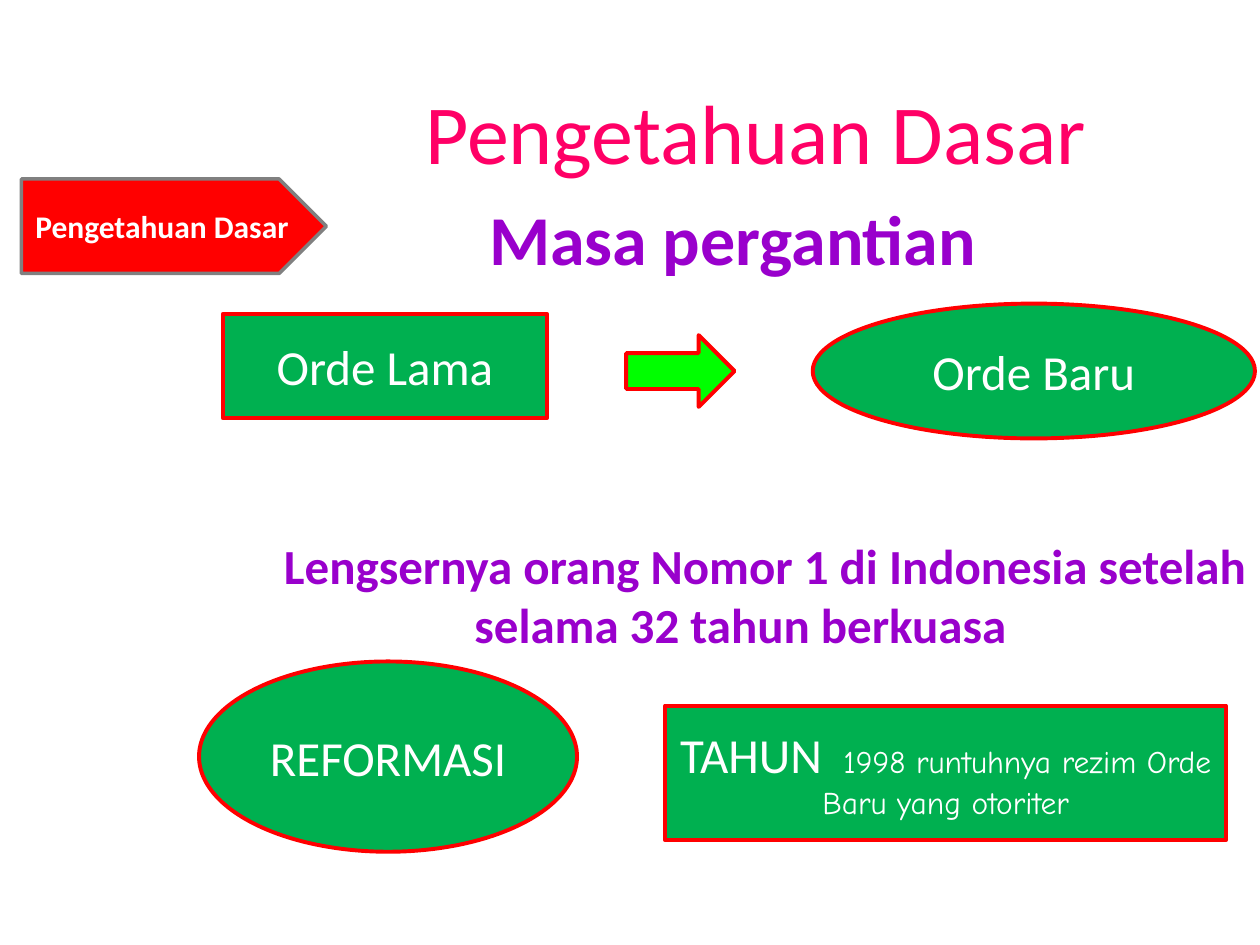
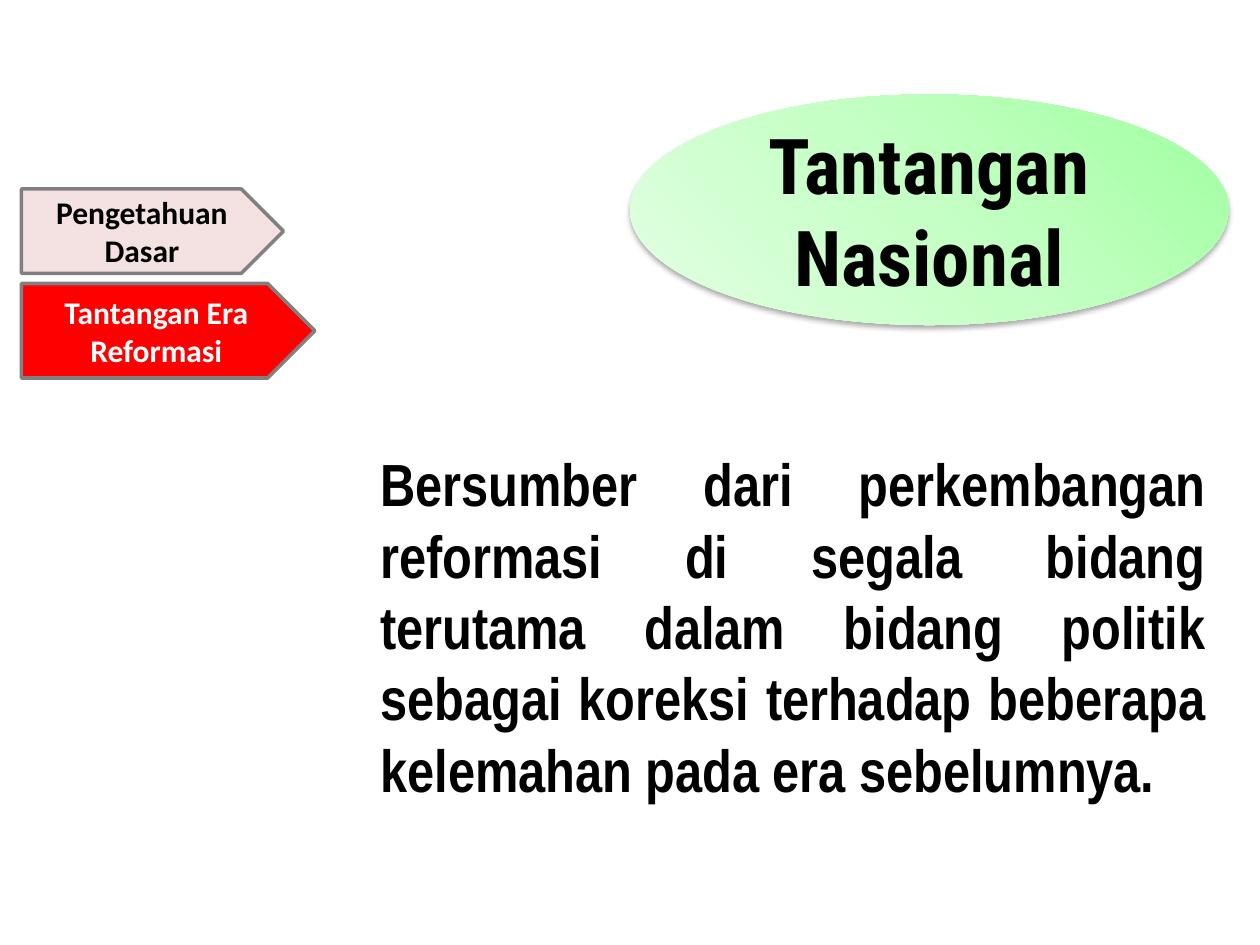
"""Builds two slides on the Reformasi era: basic knowledge and national challenges."""
from lxml import etree
from pptx import Presentation
from pptx.dml.color import RGBColor
from pptx.enum.shapes import MSO_SHAPE
from pptx.enum.text import MSO_ANCHOR, PP_ALIGN
from pptx.oxml import parse_xml
from pptx.oxml.ns import nsdecls, qn
from pptx.util import Inches, Pt

TAB, RECT, OVAL = MSO_SHAPE.PENTAGON, MSO_SHAPE.RECTANGLE, MSO_SHAPE.OVAL
ARROW = MSO_SHAPE.RIGHT_ARROW
MIDDLE, TOP = MSO_ANCHOR.MIDDLE, MSO_ANCHOR.TOP
CENTER, JUSTIFY = PP_ALIGN.CENTER, PP_ALIGN.JUSTIFY

COLORS = {
    "white": "FFFFFF", "black": "000000", "red": "FF0000", "gray": "808080",
    "green": "00B050", "lime": "00FF00", "purple": "9900CC", "pink": "FF0066",
    "rose": "E6B9B8",
}
TAB_LEFT = 0.17


def add_box(page, kind, place, fill=None, line=None, line_width=2.25):
    """Add a preset shape, or a text box when kind is None."""
    left, top, width, height = [Inches(value) for value in place]
    if kind is None:
        return page.shapes.add_textbox(left, top, width, height)
    box = page.shapes.add_shape(kind, left, top, width, height)
    box.shadow.inherit = False
    if fill:
        box.fill.solid()
        box.fill.fore_color.rgb = RGBColor.from_string(COLORS[fill])
    if line:
        box.line.color.rgb = RGBColor.from_string(COLORS[line])
        box.line.width = Pt(line_width)
    else:
        box.line.fill.background()
    return box


def write(box, spans, color, bold=False, align=CENTER, anchor=MIDDLE):
    """Write one paragraph from (text, size, font) spans."""
    frame = box.text_frame
    frame.word_wrap = True
    frame.vertical_anchor = anchor
    para = frame.paragraphs[0]
    para.alignment = align
    for text, size, font in spans:
        span = para.add_run()
        span.text = text
        span.font.size = Pt(size)
        span.font.name = font
        span.font.bold = bold
        span.font.color.rgb = RGBColor.from_string(COLORS[color])
    return para


deck = Presentation()
deck.slide_width, deck.slide_height = Inches(10), Inches(7.5)
blank = deck.slide_layouts[6]
basics = deck.slides.add_slide(blank)
challenges = deck.slides.add_slide(blank)

tabs = [
    (basics, "Pengetahuan Dasar", 1.42, 2.42, 0.75, "red", "white"),
    (challenges, "Tantangan Era Reformasi", 2.25, 2.33, 0.75, "red", "white"),
    (challenges, "Pengetahuan Dasar", 1.5, 2.08, 0.67, "rose", "black"),
]
for page, label, top, width, height, fill, color in tabs:
    tab = add_box(page, TAB, (TAB_LEFT, top, width, height), fill, "gray", 2)
    write(tab, [(label, 18, "Calibri")], color, bold=True)
    if fill == "rose":
        tint = tab.fill._xPr.find(qn("a:solidFill"))[0]
        etree.SubElement(tint, qn("a:alpha"), val="42000")

title = add_box(basics, None, (2.25, 0.59, 7.5, 0.91))
write(title, [("Pengetahuan Dasar", 48, "Calibri")], "pink", anchor=TOP)

transition = add_box(basics, None, (1.69, 1.5, 8.25, 0.8))
write(transition, [("Masa pergantian", 40, "Calibri")], "purple", bold=True, anchor=TOP)

sentence = add_box(basics, None, (1.75, 4.2, 8.25, 1.05))
para = write(sentence, [(
    "Lengsernya orang Nomor 1 di Indonesia setelah selama 32 tahun berkuasa",
    28, "Calibri")], "purple", bold=True, anchor=TOP)
para._p.get_or_add_pPr().set("indent", str(Inches(0.39)))

eras = [
    (RECT, (1.77, 2.49, 2.57, 0.83), [("Orde Lama", 28, "Calibri")]),
    (OVAL, (6.45, 2.41, 3.51, 1.07), [("Orde Baru", 28, "Calibri")]),
    (OVAL, (1.58, 5.25, 3, 1.51), [("REFORMASI", 28, "Calibri")]),
    (RECT, (5.28, 5.6, 4.45, 1.07), [
        ("TAHUN ", 28, "Calibri"),
        (" 1998 runtuhnya rezim Orde Baru yang otoriter", 18, "Comic Neue"),
    ]),
]
for kind, place, spans in eras:
    write(add_box(basics, kind, place, "green", "red"), spans, "white")
add_box(basics, ARROW, (4.97, 2.66, 0.86, 0.57), "lime", "red")

heading = add_box(challenges, OVAL, (5, 0.75, 4.75, 1.83))
heading.fill.background()
properties = heading._element.spPr
stops = "".join(
    f'<a:gs pos="{position}000"><a:srgbClr val="{tone}"/></a:gs>'
    for position, tone in [(0, "A0FFA0"), (50, "C5FFC5"), (100, "E3FFE3")])
properties.replace(properties.find(qn("a:noFill")), parse_xml(
    f'<a:gradFill {nsdecls("a")} rotWithShape="1"><a:gsLst>{stops}</a:gsLst>'
    '<a:path path="circle"><a:fillToRect l="100000" b="100000"/></a:path></a:gradFill>'))
properties.find(qn("a:effectLst")).append(parse_xml(
    f'<a:outerShdw {nsdecls("a")} blurRad="{Pt(3.1)}" dist="{Pt(1.8)}" dir="5400000" '
    'rotWithShape="0"><a:srgbClr val="000000"><a:alpha val="35000"/></a:srgbClr>'
    '</a:outerShdw>'))
write(heading, [("Tantangan Nasional", 44, "Roboto Condensed")], "black", bold=True)

body = add_box(challenges, None, (2.92, 3.5, 6.75, 2.96))
write(body, [(
    "Bersumber dari perkembangan reformasi di segala bidang terutama dalam bidang "
    "politik sebagai koreksi terhadap beberapa kelemahan pada era sebelumnya.",
    34, "Arial Narrow")], "black", bold=True, align=JUSTIFY, anchor=TOP)

deck.save("out.pptx")
